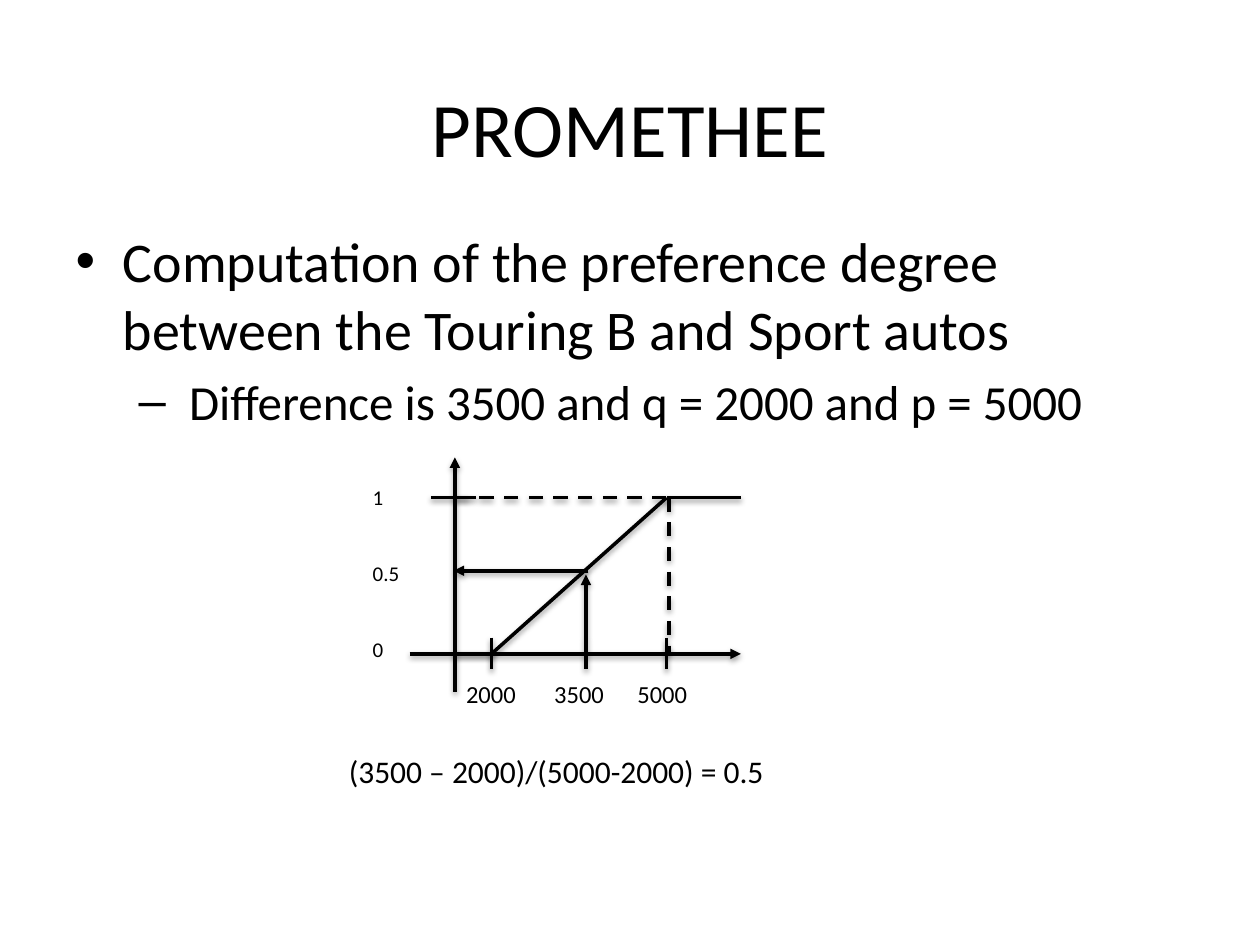
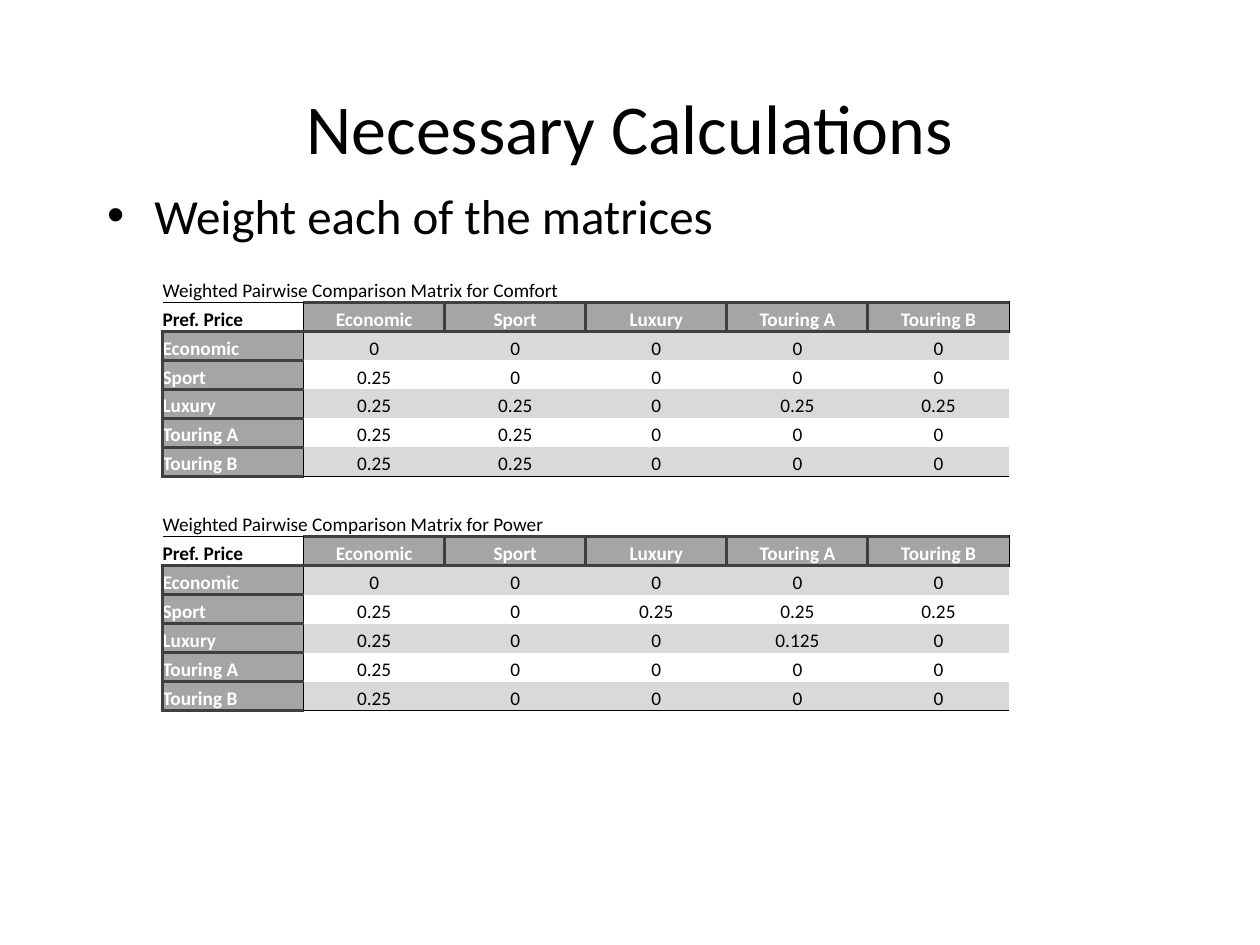
from lxml import etree
from pptx import Presentation
from pptx.dml.color import RGBColor
from pptx.enum.dml import MSO_LINE
from pptx.enum.shapes import MSO_CONNECTOR
from pptx.enum.text import MSO_ANCHOR, PP_ALIGN
from pptx.oxml.ns import qn
from pptx.util import Pt

PX = 9144
FONT = "Calibri"
COLORS = {"ink": "000000", "white": "FFFFFF", "header": "A5A5A5",
          "band": "D9D9D9", "edge": "3F3F3F"}
STRAIGHT = MSO_CONNECTOR.STRAIGHT
DASH = MSO_LINE.DASH
LEFT, CENTER = PP_ALIGN.LEFT, PP_ALIGN.CENTER
BOTTOM = MSO_ANCHOR.BOTTOM
THICK, THIN = ("edge", 2), ("ink", 0.5)
AUTOS = ["Economic", "Sport", "Luxury", "Touring A", "Touring B"]
COMFORT = [["0", "0", "0", "0", "0"],
           ["0.25", "0", "0", "0", "0"],
           ["0.25", "0.25", "0", "0.25", "0.25"],
           ["0.25", "0.25", "0", "0", "0"],
           ["0.25", "0.25", "0", "0", "0"]]
POWER = [["0", "0", "0", "0", "0"],
         ["0.25", "0", "0.25", "0.25", "0.25"],
         ["0.25", "0", "0", "0.125", "0"],
         ["0.25", "0", "0", "0", "0"],
         ["0.25", "0", "0", "0", "0"]]


def rgb(name):
    return RGBColor.from_string(COLORS[name])


def sub(parent, tag, **attrs):
    return etree.SubElement(parent, qn(tag), {k: str(v) for k, v in attrs.items()})


def write(tf, *lines, size=18, color="ink", bold=False, align=None, gap=None,
          tabs=(), levels=(), sizes=()):
    for i, text in enumerate(lines):
        p = tf.paragraphs[0] if i == 0 else tf.add_paragraph()
        if levels:
            p.level = levels[i]
        if align is not None:
            p.alignment = align
        if i == 0:
            p.space_before = Pt(0)
        elif gap is not None:
            p.space_before = Pt(gap)
        if tabs:
            tab_list = sub(p._p.get_or_add_pPr(), "a:tabLst")
            for x in tabs:
                sub(tab_list, "a:tab", pos=x * PX, algn="l")
        p.font.size = Pt(size)
        r = p.add_run()
        r.text = text
        r.font.name = FONT
        r.font.size = Pt(sizes[i] if sizes else size)
        r.font.bold = bold
        r.font.color.rgb = rgb(color)


def cell_edges(r, c, last_row, last_col):
    if r == 0:
        return {"B": THICK if c == last_col else THIN}
    if r == 1 and c == 0:
        return {"T": THIN, "R": THIN, "B": THICK}
    if r == 1:
        return {"T": THICK, "B": THICK, "L": THIN if c == 1 else THICK,
                "R": THIN if c == last_col else THICK}
    if c == 0:
        return {"L": THICK, "T": THICK, "B": THICK, "R": THIN}
    rules = {"L": (c == 1, THIN), "T": (r == 2, THICK), "B": (r == last_row, THIN)}
    return {side: line for side, (drawn, line) in rules.items() if drawn}


class Deck:
    """Builds slides in one shared style."""

    def __init__(self):
        self.prs = Presentation()
        self.prs.slide_width, self.prs.slide_height = 1000 * PX, 750 * PX
        self.s = None

    def place(self, sp, box):
        sp.left, sp.top, sp.width, sp.height = (v * PX for v in box)

    def slide(self, title, size):
        self.s = self.prs.slides.add_slide(self.prs.slide_layouts[1])
        sp = self.s.shapes.title
        self.place(sp, (50, 38, 900, 125))
        write(sp.text_frame, title, size=size, align=CENTER)

    def body(self, box, *lines, **fmt):
        sp = self.s.placeholders[1]
        self.place(sp, box)
        write(sp.text_frame, *lines, **fmt)

    def label(self, box, *lines, **fmt):
        tf = self.s.shapes.add_textbox(*(v * PX for v in box)).text_frame
        tf.word_wrap = True
        write(tf, *lines, **fmt)

    def line(self, x1, y1, x2, y2, arrow=False, dashed=False):
        cx = self.s.shapes.add_connector(STRAIGHT, x1 * PX, y1 * PX, x2 * PX, y2 * PX)
        cx.line.color.rgb = rgb("ink")
        cx.line.width = Pt(2)
        if dashed:
            cx.line.dash_style = DASH
        if arrow:
            sub(cx.line._get_or_add_ln(), "a:tailEnd", type="triangle")
        effects = sub(cx._element.spPr, "a:effectLst")
        shadow = sub(effects, "a:outerShdw", blurRad=40000, dist=20000,
                     dir=5400000, rotWithShape=0)
        clr = sub(shadow, "a:srgbClr", val=COLORS["ink"])
        sub(clr, "a:alpha", val=38000)

    def borders(self, cell, edges):
        tc_pr = cell._tc.get_or_add_tcPr()
        for side in "LRTB":
            color, width = edges.get(side, (None, 0))
            ln = sub(tc_pr, f"a:ln{side}", w=Pt(width))
            if color:
                sub(sub(ln, "a:solidFill"), "a:srgbClr", val=COLORS[color])
            else:
                sub(ln, "a:noFill")

    def matrix(self, left, top, caption, values):
        rows = [[caption] + [""] * len(AUTOS), ["Pref. Price"] + AUTOS]
        rows += [[auto] + row for auto, row in zip(AUTOS, values)]
        n_rows, n_cols = len(rows), len(rows[0])
        tbl = self.s.shapes.add_table(n_rows, n_cols, left * PX, top * PX,
                                      112 * n_cols * PX, 160 * PX).table
        tbl.first_row = tbl.horz_banding = False
        for col in tbl.columns:
            col.width = 112 * PX
        for r, row in enumerate(rows):
            tbl.rows[r].height = (22 if r == 0 else 23) * PX
            for c, text in enumerate(row):
                self.cell(tbl.cell(r, c), text, r, c,
                          cell_edges(r, c, n_rows - 1, n_cols - 1))
        tbl.cell(0, 0).merge(tbl.cell(0, n_cols - 2))

    def cell(self, cell, text, r, c, edges):
        header = r > 0 and (r == 1) != (c == 0)
        cell.margin_left = cell.margin_right = cell.margin_top = cell.margin_bottom = 0
        cell.vertical_anchor = BOTTOM
        self.borders(cell, edges)
        if header or (r > 1 and r % 2 == 0):
            cell.fill.solid()
            cell.fill.fore_color.rgb = rgb("header" if header else "band")
        else:
            cell.fill.background()
        if text:
            write(cell.text_frame, text, size=11, color="white" if header else "ink",
                  bold=header or r == 1, align=CENTER if c else LEFT)
        else:
            cell.text_frame.paragraphs[0].font.size = Pt(11)


def preference_slide(d):
    d.slide("PROMETHEE", 44)
    d.body((50, 175, 900, 495),
           "Computation of the preference degree between the Touring B and Sport autos",
           " Difference is 3500 and q = 2000 and p = 5000",
           levels=(0, 1), sizes=(32, 28))
    axis_x, axis_y, end_x = 361, 519, 588
    q, diff, p = 390, 465, 529
    full, half = 395, 453
    d.line(axis_x, 549, axis_x, 363, arrow=True)
    d.line(325, axis_y, end_x, axis_y, arrow=True)
    d.line(axis_x - 19, full, axis_x + 17, full)
    for x in (q, diff, p):
        d.line(x, 506, x, 531)
    d.line(axis_x, axis_y, q, axis_y)
    d.line(q, axis_y, p, full)
    d.line(p, full, end_x, full)
    d.line(axis_x, full, p + 2, full, dashed=True)
    d.line(p + 2, full, p + 2, axis_y, dashed=True)
    d.line(diff, 506, diff, half + 3, arrow=True)
    d.line(diff + 2, half, axis_x - 1, half, arrow=True)
    d.label((360, 534, 208, 34), "2000\t3500\t5000", size=14, tabs=(70, 136))
    d.label((286, 380, 46, 151), "1", "0.5", "0", size=12, gap=29)
    d.label((267, 592, 452, 40), "(3500 – 2000)/(5000-2000) = 0.5", size=18)


def weights_slide(d):
    d.slide("Necessary Calculations", 40)
    d.body((75, 142, 850, 608), "Weight each of the matrices", size=28)
    for i, (name, values) in enumerate([("Comfort", COMFORT), ("Power", POWER)]):
        d.matrix(129, 218 + 186 * i,
                 f"Weighted Pairwise Comparison Matrix for {name}", values)


def main():
    d = Deck()
    preference_slide(d)
    weights_slide(d)
    d.prs.save("out.pptx")


if __name__ == "__main__":
    main()
